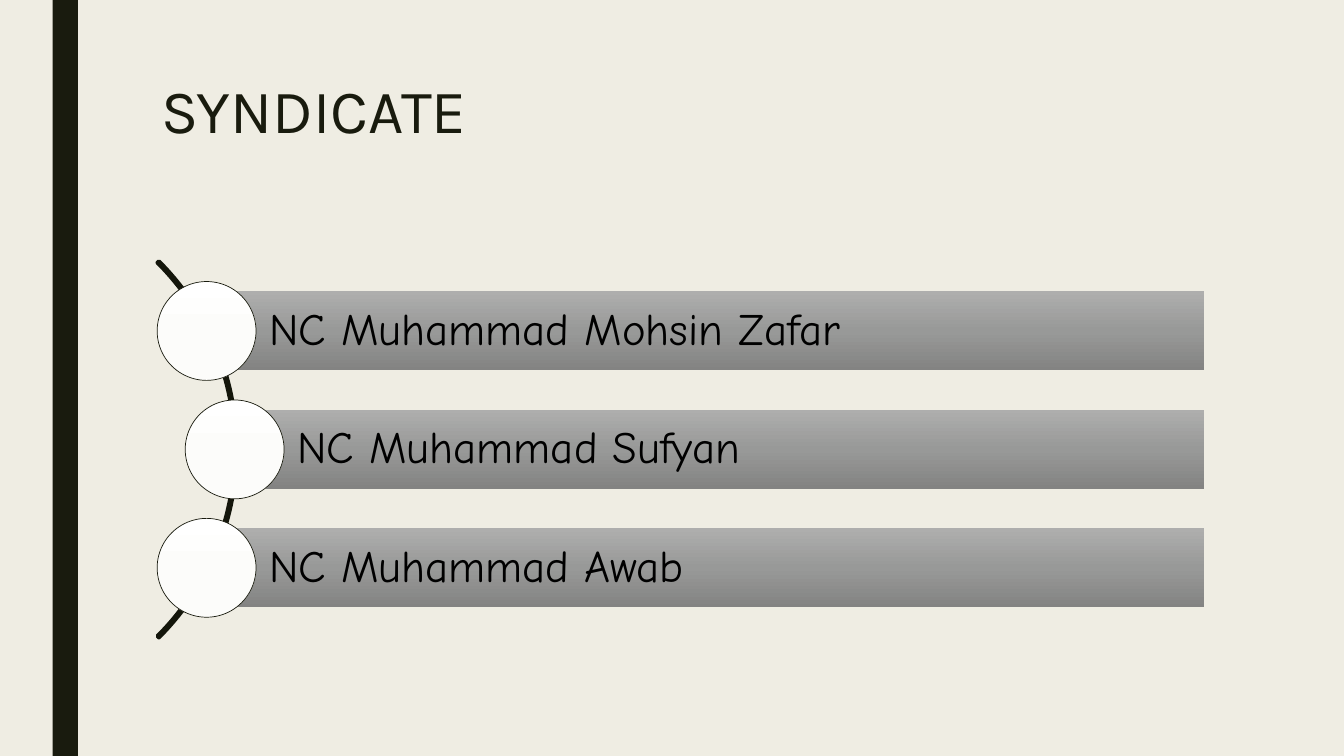
from math import sqrt

from lxml.etree import SubElement
from pptx import Presentation
from pptx.dml.color import RGBColor
from pptx.enum.shapes import MSO_SHAPE as Preset
from pptx.enum.text import MSO_ANCHOR as Anchor, PP_ALIGN as Align
from pptx.oxml.ns import qn
from pptx.util import Pt

TITLE = "SYNDICATE"
MEMBERS = ["NC Muhammad Mohsin Zafar", "NC Muhammad Sufyan", "NC Muhammad Awab"]

CREAM = RGBColor(0xEF, 0xED, 0xE3)
DARK = RGBColor(0x19, 0x1B, 0x0E)
ARC_LINE = RGBColor(0x14, 0x16, 0x0B)
BLACK = RGBColor(0, 0, 0)
BAR_SHADES = [RGBColor(0xAE, 0xAE, 0xAD), RGBColor(0x98, 0x99, 0x98), RGBColor(0x83, 0x83, 0x82)]
DISC_SHADES = [RGBColor(0xFF, 0xFF, 0xFF), RGBColor(0xFC, 0xFC, 0xFA), RGBColor(0xFB, 0xFA, 0xF8)]

SLIDE_W, SLIDE_H = 960, 540
ARC_X, ARC_Y, ARC_RADIUS = -20.9, 321, 190.1
DISC_RADIUS, DISC_ORBIT = 35.3, 188.5
BAR_RIGHT, BAR_H, ROW_PITCH = 860.4, 56.4, 84.6


def add_preset(slide, preset, left, top, width, height):
    shape = slide.shapes.add_shape(preset, Pt(left), Pt(top), Pt(width), Pt(height))
    shape.shadow.inherit = False
    shape.line.fill.background()
    return shape


def outline(shape, color, width):
    shape.line.color.rgb = color
    shape.line.width = Pt(width)


def shade_down(shape, shades):
    """Fill with evenly spaced colour stops running from top to bottom."""
    shape.fill.gradient()
    gradient = shape.element.spPr.find(qn("a:gradFill"))
    stops = gradient.find(qn("a:gsLst"))
    for stop in list(stops):
        stops.remove(stop)
    for index, shade in enumerate(shades):
        position = 100000 * index // (len(shades) - 1)
        stop = SubElement(stops, qn("a:gs"), pos=str(position))
        SubElement(stop, qn("a:srgbClr"), val=str(shade))
    gradient.find(qn("a:lin")).set("ang", "5400000")


def write(shape, text, font, size, color, spacing, anchor, insets):
    frame = shape.text_frame
    frame.word_wrap = True
    frame.vertical_anchor = anchor
    frame.margin_left, frame.margin_top, frame.margin_right, frame.margin_bottom = map(Pt, insets)
    para = frame.paragraphs[0]
    para.alignment = Align.LEFT
    para.line_spacing = spacing
    span = para.add_run()
    span.text = text
    span.font.name = font
    span.font.size = Pt(size)
    span.font.color.rgb = color


def add_member(slide, name, row):
    offset = (row - (len(MEMBERS) - 1) / 2) * ROW_PITCH
    x, y = ARC_X + sqrt(DISC_ORBIT ** 2 - offset ** 2), ARC_Y + offset
    bar = add_preset(slide, Preset.RECTANGLE, x, y - BAR_H / 2, BAR_RIGHT - x, BAR_H)
    shade_down(bar, BAR_SHADES)
    write(bar, name, "Comic Neue", 32, BLACK, 0.9, Anchor.MIDDLE, (44.8, 6.4, 6.4, 6.4))
    disc = add_preset(slide, Preset.OVAL, x - DISC_RADIUS, y - DISC_RADIUS,
                      2 * DISC_RADIUS, 2 * DISC_RADIUS)
    shade_down(disc, DISC_SHADES)
    outline(disc, DARK, 0.5)


def main():
    deck = Presentation()
    deck.slide_width, deck.slide_height = Pt(SLIDE_W), Pt(SLIDE_H)
    page = deck.slides.add_slide(deck.slide_layouts[6])
    page.background.fill.solid()
    page.background.fill.fore_color.rgb = CREAM

    stripe = add_preset(page, Preset.RECTANGLE, 37.6, 0, 18, SLIDE_H)
    stripe.fill.solid()
    stripe.fill.fore_color.rgb = DARK

    title = page.shapes.add_textbox(Pt(108), Pt(54), Pt(756), Pt(117))
    write(title, TITLE, "Karla", 44, DARK, 0.89, Anchor.TOP, (7.2, 3.6, 7.2, 3.6))

    arc = add_preset(page, Preset.BLOCK_ARC, ARC_X - ARC_RADIUS, ARC_Y - ARC_RADIUS,
                     2 * ARC_RADIUS, 2 * ARC_RADIUS)
    # Angles from 315 to 45 degrees, then the thickness of the band
    for index, value in enumerate((189, 27, 0.004)):
        arc.adjustments[index] = value
    arc.fill.background()
    outline(arc, ARC_LINE, 2.75)

    for row, name in enumerate(MEMBERS):
        add_member(page, name, row)
    deck.save("out.pptx")


if __name__ == "__main__":
    main()
